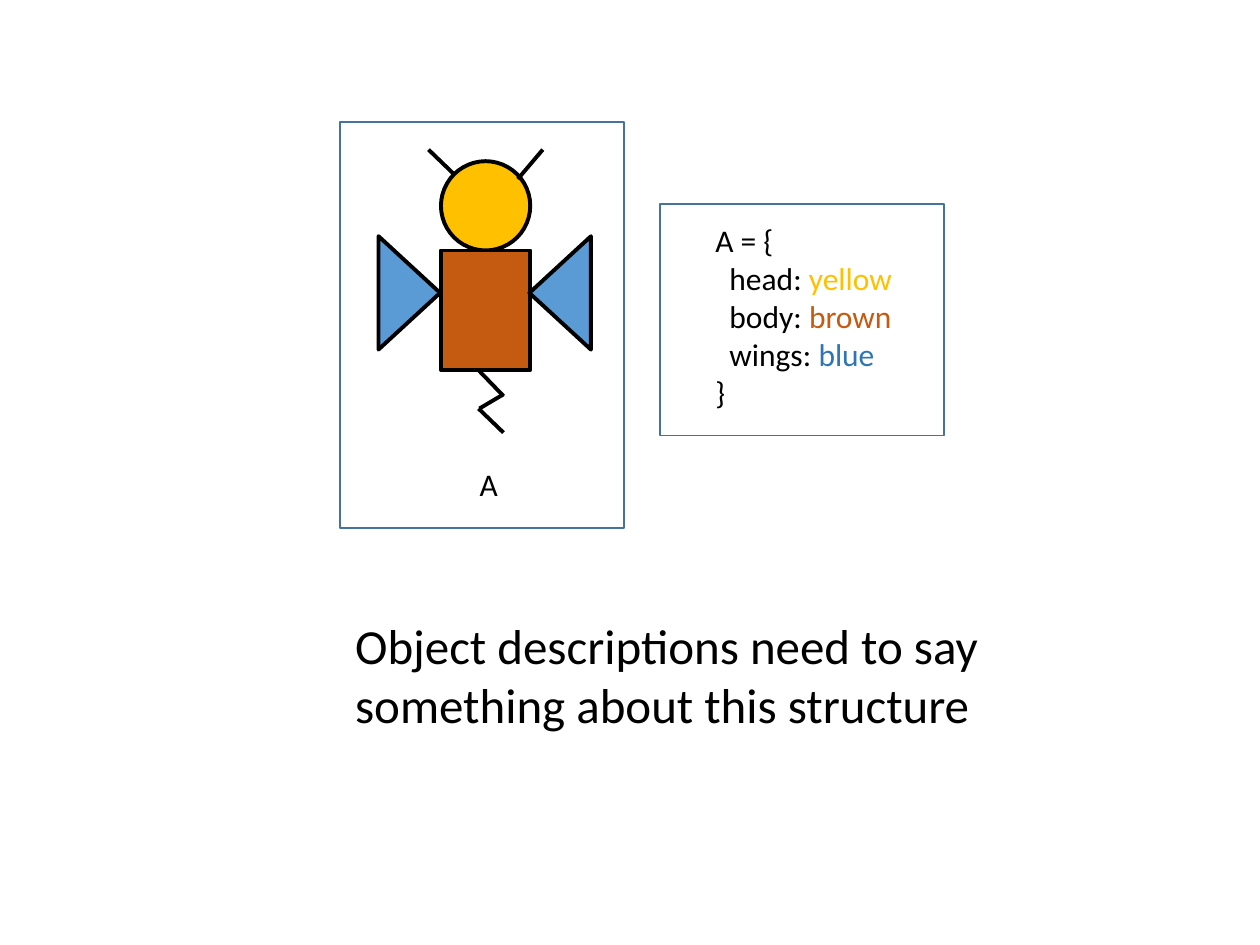
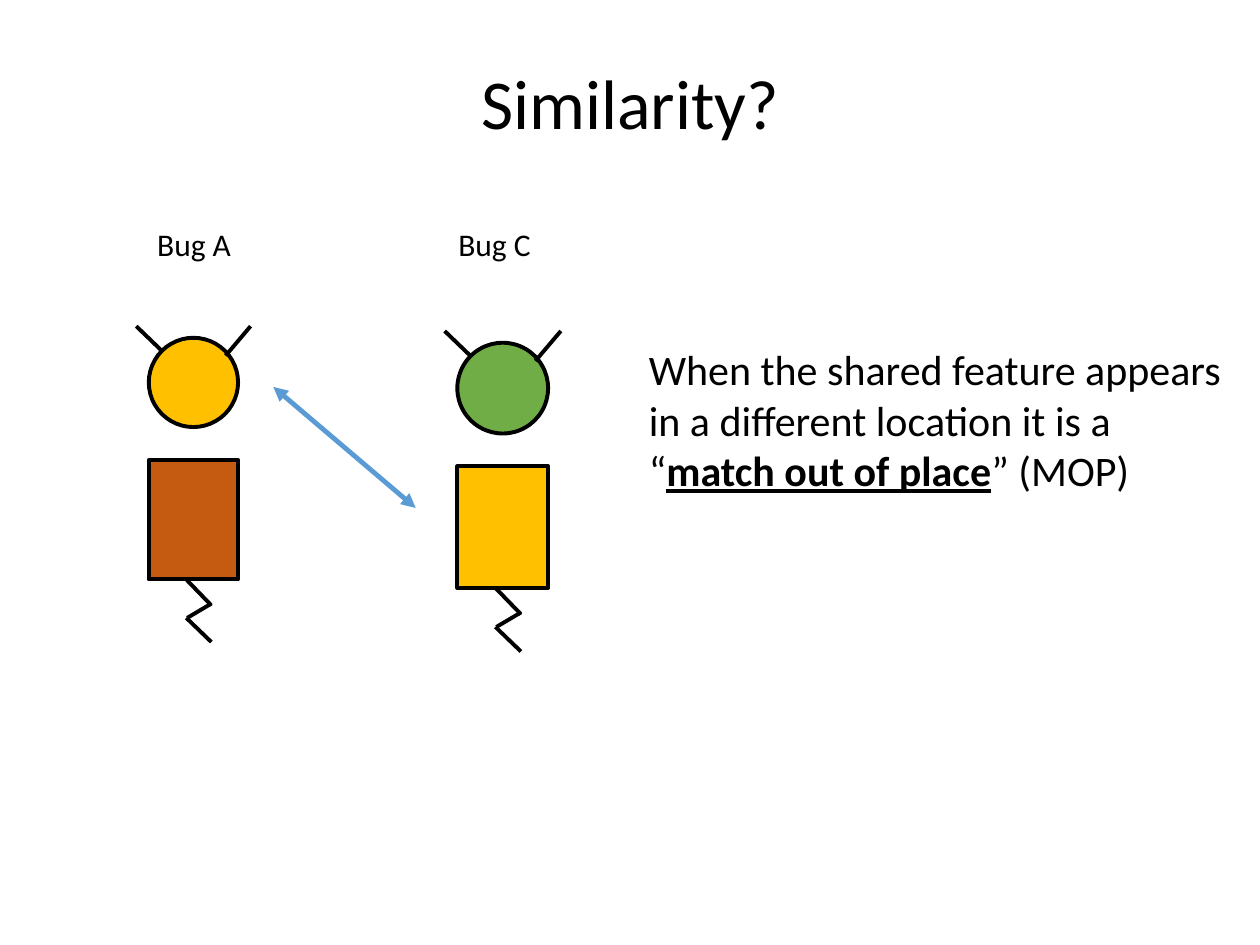
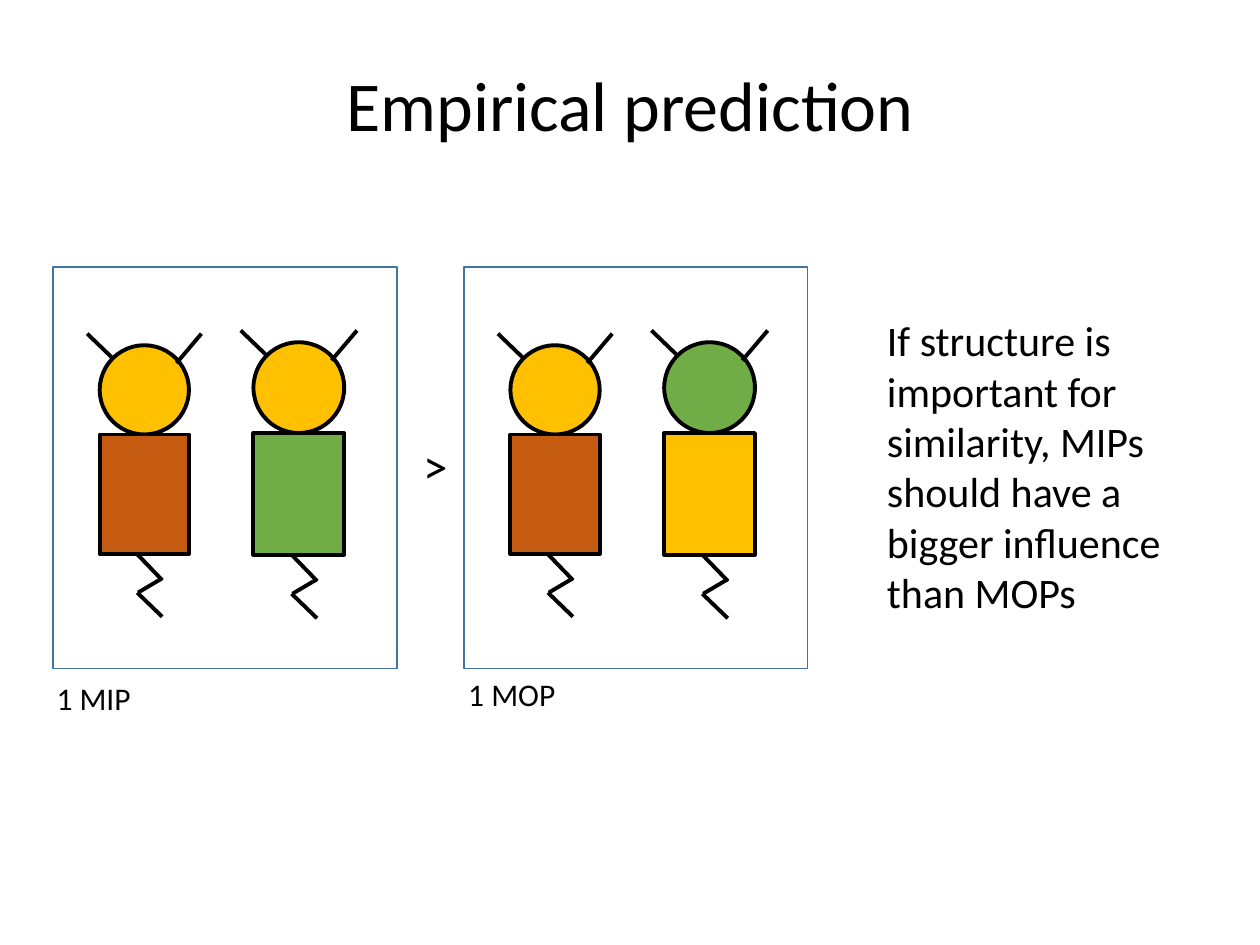
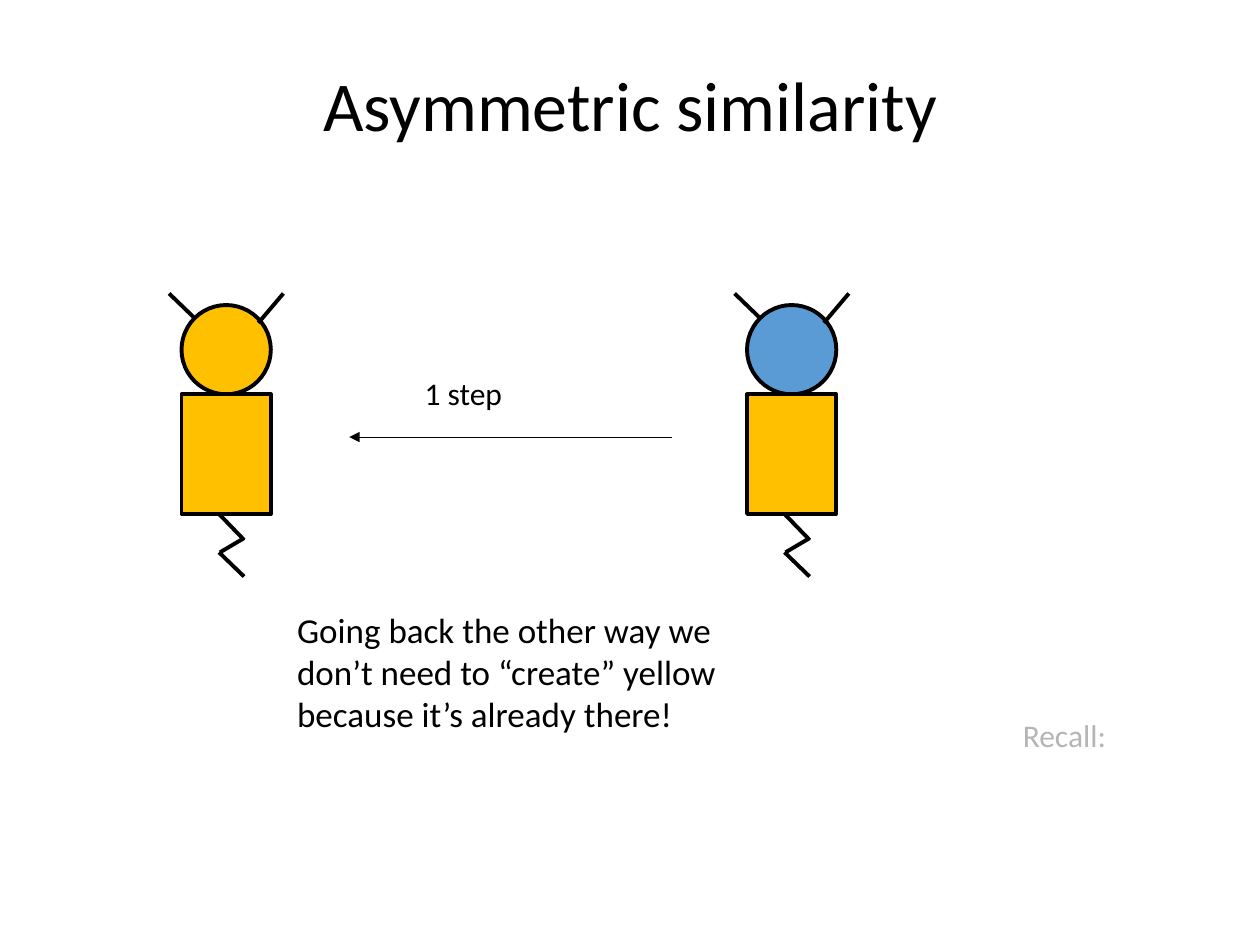
from lxml.etree import SubElement
from pptx import Presentation
from pptx.dml.color import RGBColor
from pptx.enum.shapes import MSO_CONNECTOR, MSO_SHAPE
from pptx.enum.text import MSO_ANCHOR, MSO_AUTO_SIZE, PP_ALIGN
from pptx.oxml.ns import qn
from pptx.util import Cm, Pt

FONT = "Calibri"
COLORS = {
    "black": "000000",
    "white": "FFFFFF",
    "yellow": "FFC000",
    "brown": "C55A11",
    "blue": "5B9BD5",
    "dark blue": "2E75B6",
    "green": "70AD47",
    "frame": "43739E",
}
TITLE_ONLY, BLANK = 5, 6
SMALL, LARGE = 1.8, 1.83  # head diameters in cm
BODY_RATIO = 1.34  # body height per head diameter

# Line ends in head diameters: antennae from the head's corner, tail from the body's
ANTENNAE = [((-0.14, -0.13), (0.14, 0.14)), ((0.86, 0.2), (1.14, -0.13))]
TAIL = [((0.42, 0), (0.7, 0.29)), ((0.7, 0.27), (0.43, 0.43)), ((0.42, 0.43), (0.7, 0.7))]
# Left edge in head diameters and rotation
WINGS = [(0.7, 270), (-0.99, 90)]

# bugs: left, top, head diameter, head colour, body colour
# texts: left, top, width, height, size, wrap, paragraphs of (words, colour, format)
# arrows: start, end, colour, width, arrowheads
SLIDES = [
    {
        "bugs": [(8.89, 3.25, SMALL, "yellow", "brown")],
        "wings": "blue",
        "frames": [(6.86, 2.46, 5.72, 8.18), (13.31, 4.11, 5.72, 4.67)],
        "texts": [
            (9.42, 9.25, 0.94, 1.02, 18, False, [[("A", "black", {})]]),
            (14.17, 4.34, 4.09, 4.11, 18, False, [
                [("A = {", "black", {})],
                [("  head: ", "black", {}), ("yellow", "yellow", {})],
                [("  body: ", "black", {}), ("brown", "brown", {})],
                [("  wings: ", "black", {}), ("blue", "dark blue", {})],
                [("}", "black", {})],
            ]),
            (6.91, 12.29, 13.72, 2.64, 28, True, [
                [("Object descriptions need to say something about this structure", "black", {})],
            ]),
        ],
    },
    {
        "title": "Similarity?",
        "title height": 2.26,
        "neck": 0.66,
        "bugs": [
            (3, 6.81, SMALL, "yellow", "brown"),
            (9.22, 6.91, LARGE, "green", "yellow"),
        ],
        "arrows": [((5.51, 7.8), (8.38, 10.24), "blue", 2.75, ["headEnd", "tailEnd"])],
        "texts": [
            (2.92, 4.42, 2.01, 1.02, 18, False, [[("Bug A", "black", {})]]),
            (8.99, 4.42, 2.11, 1.02, 18, False, [[("Bug C", "black", {})]]),
            (12.83, 6.81, 12.14, 3.33, 24, True, [[
                ("When the shared feature appears in a different location it is a “", "black", {}),
                ("match out of place", "black", {"bold": True, "underline": True}),
                ("” (MOP)", "black", {}),
            ]]),
        ],
    },
    {
        "title": "Empirical prediction",
        "bugs": [
            (2.01, 6.96, SMALL, "yellow", "brown"),
            (5.11, 6.9, LARGE, "yellow", "green"),
            (10.29, 6.96, SMALL, "yellow", "brown"),
            (13.39, 6.9, LARGE, "green", "yellow"),
        ],
        "frames": [(1.07, 5.38, 6.93, 8.1), (9.35, 5.38, 6.93, 8.1)],
        "texts": [
            (8.28, 8.66, 1.09, 1.45, 28, False, [[(">", "black", {})]]),
            (17.63, 6.22, 7.09, 6.4, 24, True, [
                [("If structure is important for similarity, MIPs should have a "
                  "bigger influence than MOPs", "black", {})],
            ]),
            (0.89, 13.56, 2.01, 1.02, 18, False, [[("1 MIP", "black", {})]]),
            (9.19, 13.49, 2.36, 1.02, 18, False, [[("1 MOP", "black", {})]]),
        ],
    },
    {
        "title": "Asymmetric similarity",
        "bugs": [
            (3.66, 6.15, SMALL, "yellow", "yellow"),
            (15.06, 6.15, SMALL, "blue", "yellow"),
        ],
        "arrows": [((13.54, 8.81), (7.04, 8.81), "black", 0.5, ["tailEnd"])],
        "texts": [
            (5.74, 12.14, 9.68, 2.82, 20, True, [
                [("Going back the other way we don’t need to “create” yellow "
                  "because it’s already there!", "black", {})],
            ]),
            (8.31, 7.42, 2.11, 1.02, 18, False, [[("1 step", "black", {})]]),
            (20.37, 14.3, 2.18, 1.02, 18, False, [[("Recall:", "black", {})]]),
        ],
        "veil": (17.7, 13.84, 7.24, 5.21),
    },
]


def add_shape(page, kind, place, fill=None, line="black", width=2.25):
    """Draw a preset shape; a fill or line of None is left empty."""
    shape = page.shapes.add_shape(kind, *[Cm(length) for length in place])
    shape.shadow.inherit = False
    for part, color in ((shape.fill, fill), (shape.line.fill, line)):
        if color:
            part.solid()
            part.fore_color.rgb = RGBColor.from_string(COLORS[color])
        else:
            part.background()
    if line:
        shape.line.width = Pt(width)
    return shape


def add_line(page, start, end, color="black", width=2.25, heads=()):
    ends = [Cm(length) for length in (*start, *end)]
    connector = page.shapes.add_connector(MSO_CONNECTOR.STRAIGHT, *ends)
    connector.line.color.rgb = RGBColor.from_string(COLORS[color])
    connector.line.width = Pt(width)
    outline = connector.line._get_or_add_ln()
    for head in heads:
        SubElement(outline, qn("a:" + head), type="triangle")
    SubElement(connector.element.spPr, qn("a:effectLst"))


deck = Presentation()
deck.slide_width, deck.slide_height = Cm(25.4), Cm(19.05)

for content in SLIDES:
    layout = TITLE_ONLY if "title" in content else BLANK
    page = deck.slides.add_slide(deck.slide_layouts[layout])

    if "title" in content:
        title = page.shapes.title
        title.left, title.top, title.width = Cm(1.75), Cm(1.02), Cm(21.9)
        title.height = Cm(content.get("title height", 2.34))
        title.text_frame.text = content["title"]
        title.text_frame.vertical_anchor = MSO_ANCHOR.MIDDLE
        paragraph = title.text_frame.paragraphs[0]
        paragraph.alignment = PP_ALIGN.CENTER
        paragraph.line_spacing = 0.9
        paragraph.font.name, paragraph.font.size = FONT, Pt(40)
        paragraph.font.color.rgb = RGBColor.from_string(COLORS["black"])

    for left, top, head, head_color, body_color in content["bugs"]:
        body_top = top + head + content.get("neck", 0)
        body_height = BODY_RATIO * head
        add_shape(page, MSO_SHAPE.OVAL, (left, top, head, head), head_color)
        add_shape(page, MSO_SHAPE.RECTANGLE, (left, body_top, head, body_height), body_color)
        if "wings" in content:
            for shift, rotation in WINGS:
                place = (left + shift * head, top + 1.13 * head, 1.27 * head, 0.69 * head)
                wing = add_shape(page, MSO_SHAPE.ISOSCELES_TRIANGLE, place, content["wings"])
                wing.rotation = rotation
        for lines, base in ((TAIL, body_top + body_height), (ANTENNAE, top)):
            for ends in lines:
                add_line(page, *[(left + x * head, base + y * head) for x, y in ends])

    for place in content.get("frames", []):
        add_shape(page, MSO_SHAPE.RECTANGLE, place, line="frame", width=1)

    for arrow in content.get("arrows", []):
        add_line(page, *arrow)

    for *place, size, wrap, paragraphs in content["texts"]:
        box = page.shapes.add_textbox(*[Cm(length) for length in place])
        frame = box.text_frame
        frame.word_wrap = wrap
        frame.auto_size = MSO_AUTO_SIZE.SHAPE_TO_FIT_TEXT
        for index, spans in enumerate(paragraphs):
            paragraph = frame.add_paragraph() if index else frame.paragraphs[0]
            for words, color, extra in spans:
                span = paragraph.add_run()
                span.text = words
                span.font.color.rgb = RGBColor.from_string(COLORS[color])
                for name, value in {"name": FONT, "size": Pt(size), **extra}.items():
                    setattr(span.font, name, value)

    if "veil" in content:
        veil = add_shape(page, MSO_SHAPE.RECTANGLE, content["veil"], "white", None)
        tint = veil.element.spPr.find(qn("a:solidFill")).find(qn("a:srgbClr"))
        SubElement(tint, qn("a:alpha"), val="71000")

deck.save("out.pptx")
